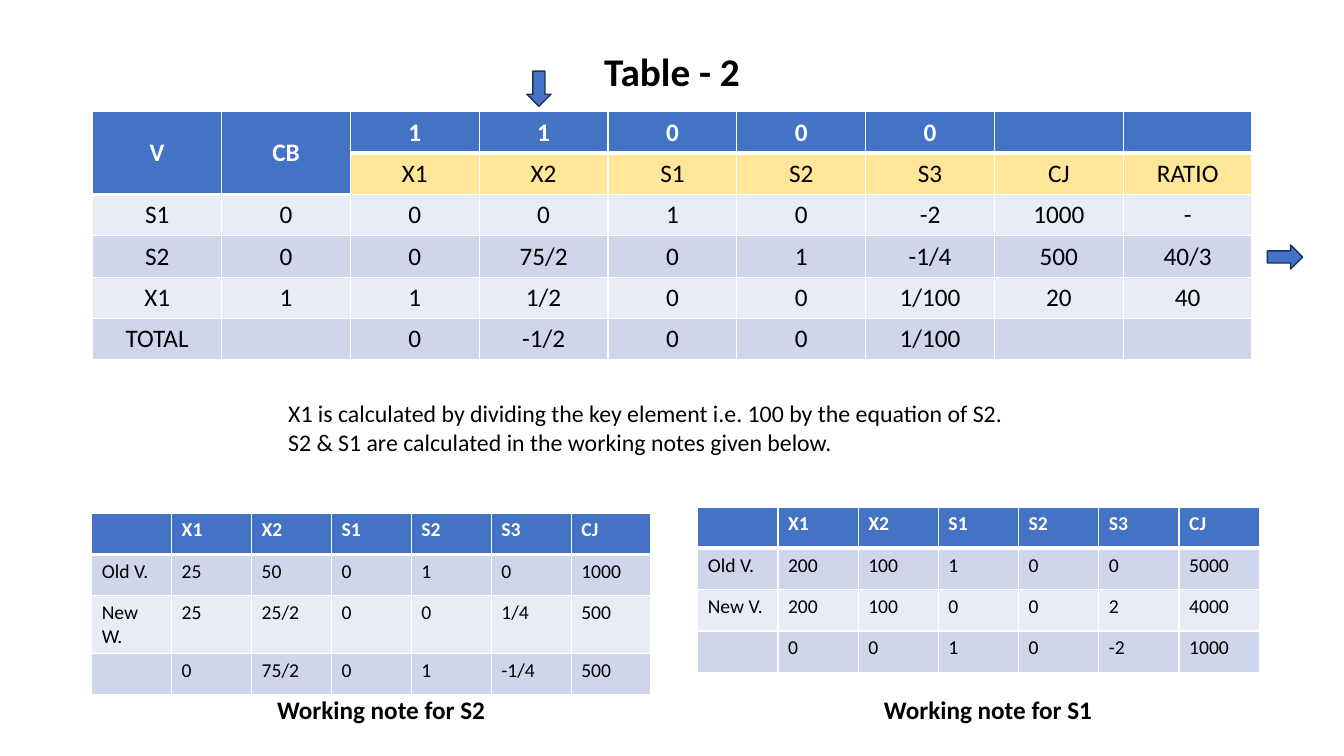
"""Build the simplex Table - 2 slide with its two working notes."""
from lxml.etree import SubElement
from pptx import Presentation
from pptx.dml.color import RGBColor
from pptx.enum.shapes import MSO_SHAPE as Shape
from pptx.enum.text import MSO_ANCHOR as Anchor, MSO_AUTO_SIZE as AutoSize, PP_ALIGN as Align
from pptx.oxml.ns import qn
from pptx.util import Inches, Pt

BLUE, YELLOW, PALE, MID = "4472C4", "FFE699", "E9EBF5", "CFD5EA"
BLACK, WHITE, NAVY = "000000", "FFFFFF", "1E3256"


def color(hex_string):
    return RGBColor.from_string(hex_string)


def add_text(paragraph, text, size, hex_string, bold, align):
    paragraph.alignment = align
    run = paragraph.add_run()
    run.text = text
    run.font.name = "Calibri"
    run.font.size = Pt(size)
    run.font.bold = bold
    run.font.color.rgb = color(hex_string)


presentation = Presentation()
presentation.slide_width = Inches(13.33)
presentation.slide_height = Inches(7.5)
slide = presentation.slides.add_slide(presentation.slide_layouts[6])

simplex_rows = [
    ["V", "CB", "1", "1", "0", "0", "0", "", ""],
    ["", "", "X1", "X2", "S1", "S2", "S3", "CJ", "RATIO"],
    ["S1", "0", "0", "0", "1", "0", "-2", "1000", "-"],
    ["S2", "0", "0", "75/2", "0", "1", "-1/4", "500", "40/3"],
    ["X1", "1", "1", "1/2", "0", "0", "1/100", "20", "40"],
    ["TOTAL", "", "0", "-1/2", "0", "0", "1/100", "", ""],
]
note_header = ["", "X1", "X2", "S1", "S2", "S3", "CJ"]
note_s2_rows = [
    note_header,
    ["Old V.", "25", "50", "0", "1", "0", "1000"],
    ["New W.", "25", "25/2", "0", "0", "1/4", "500"],
    ["", "0", "75/2", "0", "1", "-1/4", "500"],
]
note_s1_rows = [
    note_header,
    ["Old V.", "200", "100", "1", "0", "0", "5000"],
    ["New V.", "200", "100", "0", "0", "2", "4000"],
    ["", "0", "0", "1", "0", "-2", "1000"],
]

simplex_fills = [BLUE, YELLOW, PALE, MID, PALE, MID]
note_fills = [BLUE, MID, PALE, MID]
tables = [
    (simplex_rows, simplex_fills, 0.92, 1.11, 11.5, 18, Align.CENTER, Anchor.MIDDLE),
    (note_s2_rows, note_fills, 0.91, 5.09, 5.55, 14, Align.LEFT, Anchor.TOP),
    (note_s1_rows, note_fills, 6.92, 5.03, 5.57, 14, Align.LEFT, Anchor.TOP),
]
for rows, fills, left, top, width, size, align, anchor in tables:
    table = slide.shapes.add_table(
        len(rows), len(rows[0]), Inches(left), Inches(top),
        Inches(width), Inches(0.41 * len(rows))).table
    for row_index, row in enumerate(rows):
        for column_index, text in enumerate(row):
            cell = table.cell(row_index, column_index)
            is_header = row_index == 0
            properties = cell._tc.get_or_add_tcPr()
            for side in ("lnL", "lnR", "lnT", "lnB"):
                thick = (side, row_index) in (("lnB", 0), ("lnT", 1))
                border = SubElement(properties, qn(f"a:{side}"), w=str(Pt(3 if thick else 1)))
                border_fill = SubElement(border, qn("a:solidFill"))
                SubElement(border_fill, qn("a:srgbClr"), val=WHITE)
            cell.fill.solid()
            cell.fill.fore_color.rgb = color(fills[row_index])
            cell.vertical_anchor = anchor
            paragraph = cell.text_frame.paragraphs[0]
            if text:
                add_text(paragraph, text, size, WHITE if is_header else BLACK, is_header, align)
            else:
                paragraph.font.size = Pt(size)
    if rows is simplex_rows:
        for column_index in range(2):
            table.cell(0, column_index).merge(table.cell(1, column_index))

for left, top, rotation in [(5.17, 0.76, 90), (12.57, 2.43, 0)]:
    arrow = slide.shapes.add_shape(
        Shape.RIGHT_ARROW, Inches(left), Inches(top), Inches(0.35), Inches(0.24))
    arrow.rotation = rotation
    arrow.shadow.inherit = False
    arrow.fill.solid()
    arrow.fill.fore_color.rgb = color(BLUE)
    arrow.line.color.rgb = color(NAVY)
    arrow.line.width = Pt(1)

explanation = [
    "X1 is calculated by dividing the key element i.e. 100 by the equation of S2.",
    "S2 & S1 are calculated in the working notes given below.",
]
text_boxes = [
    (["Table - 2"], 4.61, 0.42, 4.11, 0.57, 28, True, Align.CENTER),
    (["Working note for S2"], 1.84, 6.84, 3.88, 0.4, 18, True, Align.CENTER),
    (["Working note for S1"], 7.86, 6.84, 3.88, 0.4, 18, True, Align.CENTER),
    (explanation, 2.76, 3.91, 8.47, 0.67, 17, False, Align.LEFT),
]
for lines, left, top, width, height, size, bold, align in text_boxes:
    text_box = slide.shapes.add_textbox(Inches(left), Inches(top), Inches(width), Inches(height))
    frame = text_box.text_frame
    frame.word_wrap = True
    frame.auto_size = AutoSize.SHAPE_TO_FIT_TEXT
    for index, line in enumerate(lines):
        paragraph = frame.add_paragraph() if index else frame.paragraphs[0]
        add_text(paragraph, line, size, BLACK, bold, align)

presentation.save("out.pptx")
